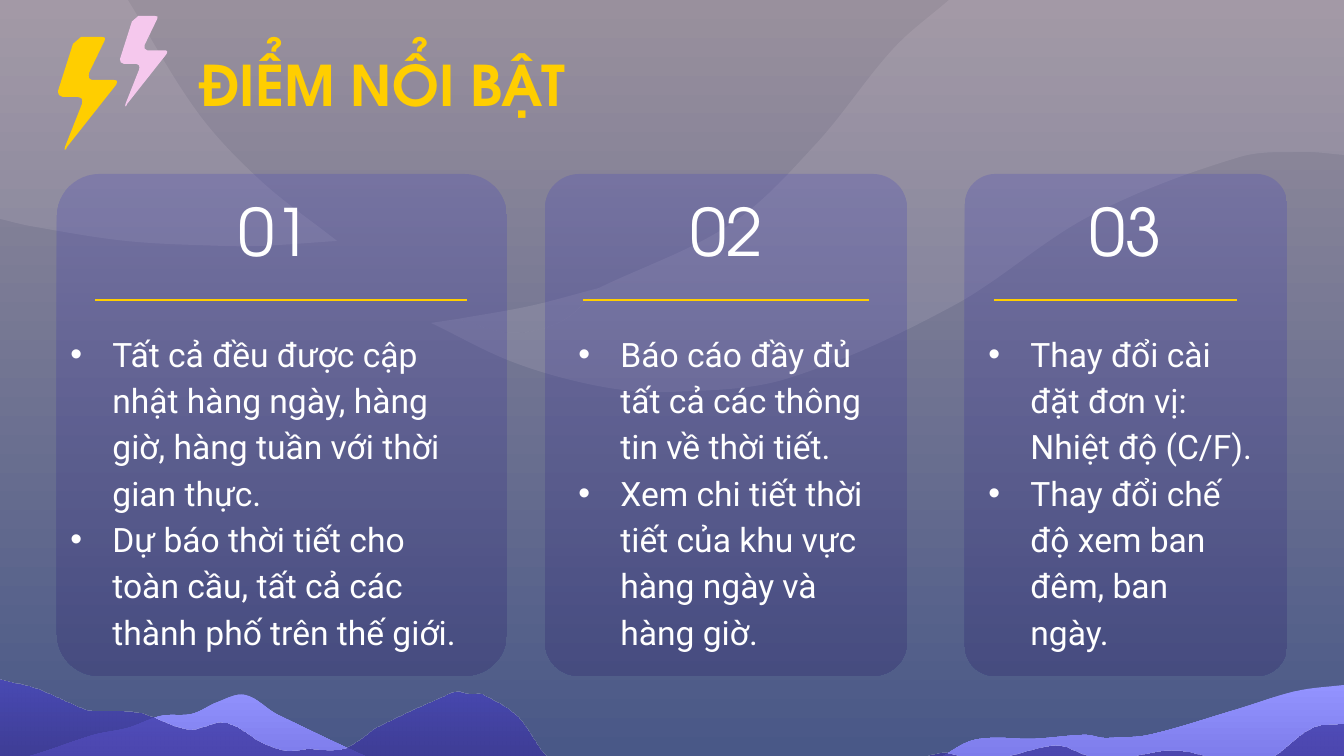
from math import dist

from lxml import etree
from pptx import Presentation
from pptx import util as u
from pptx.dml.color import RGBColor
from pptx.enum import shapes, text
from pptx.oxml import ns

SCALE = 914400 / 134.4
DISPLAY, BODY = "TeX Gyre Adventor", "Roboto"
YELLOW, WHITE, PINK, MIST = "FFCE00", "FFFFFF", "F5C8ED", "FDF0F7"
LIGHT, VIOLET, NIGHT = "9393FF", "4846BB", "281B66"

CARDS = [
    {"number": "01", "card": (57, 450), "body": (57, 432), "rule": (95, 467), "label": 215,
     "items": ["Tất cả đều được cập nhật hàng ngày, hàng giờ, hàng tuần với thời gian thực.",
               "Dự báo thời tiết cho toàn cầu, tất cả các thành phố trên thế giới."]},
    {"number": "02", "card": (545, 362), "body": (565, 328), "rule": (583, 869), "label": 667,
     "items": ["Báo cáo đầy đủ tất cả các thông tin về thời tiết.",
               "Xem chi tiết thời tiết của khu vực hàng ngày và hàng giờ."]},
    {"number": "03", "card": (965, 322), "body": (975, 292), "rule": (994, 1237), "label": 1066,
     "items": ["Thay đổi cài đặt đơn vị: Nhiệt độ (C/F).",
               "Thay đổi chế độ xem ban đêm, ban ngày."]},
]

CLOUDS = [
    [[(1344, 155), (1304, 152), (1240, 157), (1090, 216), (953, 306), (786, 379),
      (672, 392), (603, 387), (515, 363), (431, 323)],
     [(431, 323), (458, 319)],
     [(458, 319), (512, 333), (562, 321), (599, 288)],
     [(599, 288), (731, 224), (816, 144), (894, 48), (949, 0)],
     [(949, 0), (1344, 0)]],
    [[(599, 288), (562, 321), (512, 333), (458, 319)],
     [(458, 319), (530, 306), (599, 288)]],
    [[(126, -3), (198, 113), (261, 181), (337, 241)],
     [(337, 241), (261, 246), (223, 246), (126, 241), (30, 226), (0, 219)],
     [(0, 219), (0, -3)]],
]
BACK_HILL = [
    [(1344, 685), (1297, 691), (1235, 710), (1149, 735), (1111, 738), (1102, 738),
     (1086, 735), (1032, 739), (992, 738), (968, 742), (930, 763), (886, 773),
     (754, 777), (657, 793), (579, 817), (528, 808), (418, 778), (278, 715),
     (245, 695), (218, 702), (192, 714), (161, 716), (128, 728), (94, 735),
     (23, 758), (-43, 769), (-90, 771)],
    [(-90, 771), (-90, 919)],
    [(-90, 919), (1344, 919)],
]
FRONT_HILL = [
    [(0, 680), (39, 690), (85, 710), (98, 711), (121, 711), (142, 714), (188, 730),
     (220, 723), (234, 726), (261, 743), (286, 751), (310, 749), (341, 750),
     (359, 741), (376, 728), (445, 696), (456, 692), (470, 695), (482, 695),
     (516, 716), (555, 763), (653, 783), (777, 767), (816, 769), (872, 778),
     (909, 763), (941, 753), (961, 757), (988, 763), (1007, 757), (1036, 749),
     (1060, 746), (1084, 755), (1115, 764), (1140, 755), (1180, 751), (1255, 765),
     (1312, 728), (1345, 724)],
    [(1345, 724), (1345, 878)],
    [(1345, 878), (0, 878)],
]
BOLT = [
    [(23, 0), (15, 7)], [(15, 7), (0, 54)],
    [(0, 54), (1, 58), (5, 60)], [(5, 60), (20, 60)],
    [(20, 60), (24, 62), (24, 67)], [(24, 67), (7, 110)],
    [(7, 110), (7, 113), (9, 110)], [(9, 110), (58, 48)],
    [(58, 48), (59, 44), (55, 43)], [(55, 43), (34, 43)],
    [(34, 43), (31, 41), (31, 36)], [(31, 36), (46, 5)],
    [(46, 5), (47, 1), (43, 0)],
]


def px(length):
    return u.Emu(round(length * SCALE))


def colour(value):
    return RGBColor.from_string(value)


def apply(target, values):
    for name, value in values.items():
        setattr(target, name, value)


def set_gradient(fill, colours):
    fill.gradient()
    fill.gradient_angle = 270
    for stop, position, value in zip(fill.gradient_stops, (0, 1), colours):
        stop.position = position
        stop.color.rgb = colour(value)


def paint(shape, colours, opacities=()):
    if len(colours) == 1:
        shape.fill.solid()
        shape.fill.fore_color.rgb = colour(colours[0])
    else:
        set_gradient(shape.fill, colours)
    tints = shape._element.spPr.iter(ns.qn("a:srgbClr"))
    for tint, opacity in zip(tints, opacities):
        etree.SubElement(tint, ns.qn("a:alpha"), val=str(opacity * 1000))
    shape.line.fill.background()
    shape.shadow.inherit = False


def handle(knot, before, after, reach):
    span = dist(before, after)
    return tuple(k + (a - b) * reach / span for k, b, a in zip(knot, before, after))


def curves(knots):
    padded = [knots[0], *knots, knots[-1]]
    for before, start, end, after in zip(padded, padded[1:], padded[2:], padded[3:]):
        reach = dist(start, end) / 3
        yield (handle(start, before, end, reach), handle(end, start, after, -reach), end)


def bend(line, points, left, top):
    curve = etree.Element(ns.qn("a:cubicBezTo"))
    for x, y in points:
        etree.SubElement(curve, ns.qn("a:pt"), x=str(round(x - left)), y=str(round(y - top)))
    line.getparent().replace(line, curve)


def add_outline(slide, strokes, colours, opacities=(), origin=(0, 0), size=1):
    strokes = [[(px(origin[0] + x * size), px(origin[1] + y * size)) for x, y in stroke]
               for stroke in strokes]
    builder = slide.shapes.build_freeform(*strokes[0][0])
    for stroke in strokes:
        builder.add_line_segments(stroke[1:], close=stroke is strokes[-1])
    shape = builder.convert_to_shape()
    lines = iter(list(shape._element.iter(ns.qn("a:lnTo"))))
    for stroke in strokes:
        for points in curves(stroke):
            line = next(lines)
            if len(stroke) > 2:
                bend(line, points, shape.left, shape.top)
    paint(shape, colours, opacities)


def add_card(slide, left, width):
    card = slide.shapes.add_shape(
        shapes.MSO_SHAPE.ROUNDED_RECTANGLE, px(left), px(174), px(width), px(502))
    card.adjustments[0] = 0.094
    paint(card, (VIOLET, NIGHT), (25, 25))


def add_rule(slide, start, end):
    rule = slide.shapes.add_connector(
        shapes.MSO_CONNECTOR.STRAIGHT, px(start), px(300), px(end), px(300))
    rule.line.color.rgb = colour(YELLOW)
    rule.line.width = u.Pt(1.5)
    etree.SubElement(rule._element.spPr, ns.qn("a:effectLst"))


def write(shape, lines, font, alignment, anchor=text.MSO_ANCHOR.TOP, spacing=1.0):
    frame = shape.text_frame
    margins = {f"margin_{side}": u.Inches(0.1) for side in ("left", "top", "right", "bottom")}
    apply(frame, {"word_wrap": True, "auto_size": text.MSO_AUTO_SIZE.NONE,
                  "vertical_anchor": anchor, **margins})
    frame.text = "\n".join(lines)
    for paragraph in frame.paragraphs:
        apply(paragraph, {"alignment": alignment, "line_spacing": spacing,
                          "space_before": u.Pt(0), "space_after": u.Pt(0)})
        run = paragraph.runs[0]
        values = dict(font)
        run.font.color.rgb = colour(values.pop("colour"))
        apply(run.font, values)


def place(slide, placeholder, left, top, width, height):
    apply(placeholder, {"left": px(left), "top": px(top),
                        "width": px(width), "height": px(height)})
    slide.shapes._spTree.append(placeholder._element)


def add_bullet(paragraph):
    properties = paragraph._p.get_or_add_pPr()
    indent = px(42)
    properties.set("marL", str(indent))
    properties.set("indent", str(-indent))
    bullet_colour = etree.SubElement(properties, ns.qn("a:buClr"))
    etree.SubElement(bullet_colour, ns.qn("a:srgbClr"), val=WHITE)
    etree.SubElement(properties, ns.qn("a:buFont"), typeface="Arial")
    etree.SubElement(properties, ns.qn("a:buChar"), char="•")


def write_title(slide):
    place(slide, slide.shapes.title, 185, 37, 449, 62)
    font = {"name": DISPLAY, "size": u.Pt(30), "bold": True, "colour": YELLOW}
    write(slide.shapes.title, ["ĐIỂM NỔI BẬT"], font, text.PP_ALIGN.LEFT)


def write_list(slide, placeholder, left, width, items):
    place(slide, placeholder, left, 314, width, 349)
    font = {"name": BODY, "size": u.Pt(18), "bold": False, "colour": WHITE}
    write(placeholder, items, font, text.PP_ALIGN.LEFT, spacing=1.15)
    for paragraph in placeholder.text_frame.paragraphs:
        add_bullet(paragraph)


def add_number(slide, left, number):
    box = slide.shapes.add_textbox(px(left), px(209), px(120), px(43))
    font = {"name": DISPLAY, "size": u.Pt(35), "colour": WHITE}
    write(box, [number], font, text.PP_ALIGN.CENTER, text.MSO_ANCHOR.MIDDLE)


def main():
    presentation = Presentation()
    apply(presentation, {"slide_width": px(1344), "slide_height": px(756)})
    slide = presentation.slides.add_slide(presentation.slide_layouts[4])
    _, *bodies = slide.placeholders
    for spare in bodies[len(CARDS):]:
        spare._element.getparent().remove(spare._element)
    set_gradient(slide.background.fill, ("99909D", "495887"))
    for cloud in CLOUDS:
        add_outline(slide, cloud, (MIST,), (10,))
    add_outline(slide, BACK_HILL, (LIGHT, VIOLET))
    add_outline(slide, FRONT_HILL, (VIOLET, NIGHT), (84, 63))
    write_title(slide)
    for column, body in zip(CARDS, bodies):
        add_card(slide, *column["card"])
        write_list(slide, body, *column["body"], column["items"])
        add_rule(slide, *column["rule"])
        add_number(slide, column["label"], column["number"])
    add_outline(slide, BOLT, (YELLOW,), origin=(58, 37))
    add_outline(slide, BOLT, (PINK,), origin=(120, 16), size=0.8)
    presentation.save("out.pptx")


if __name__ == "__main__":
    main()
